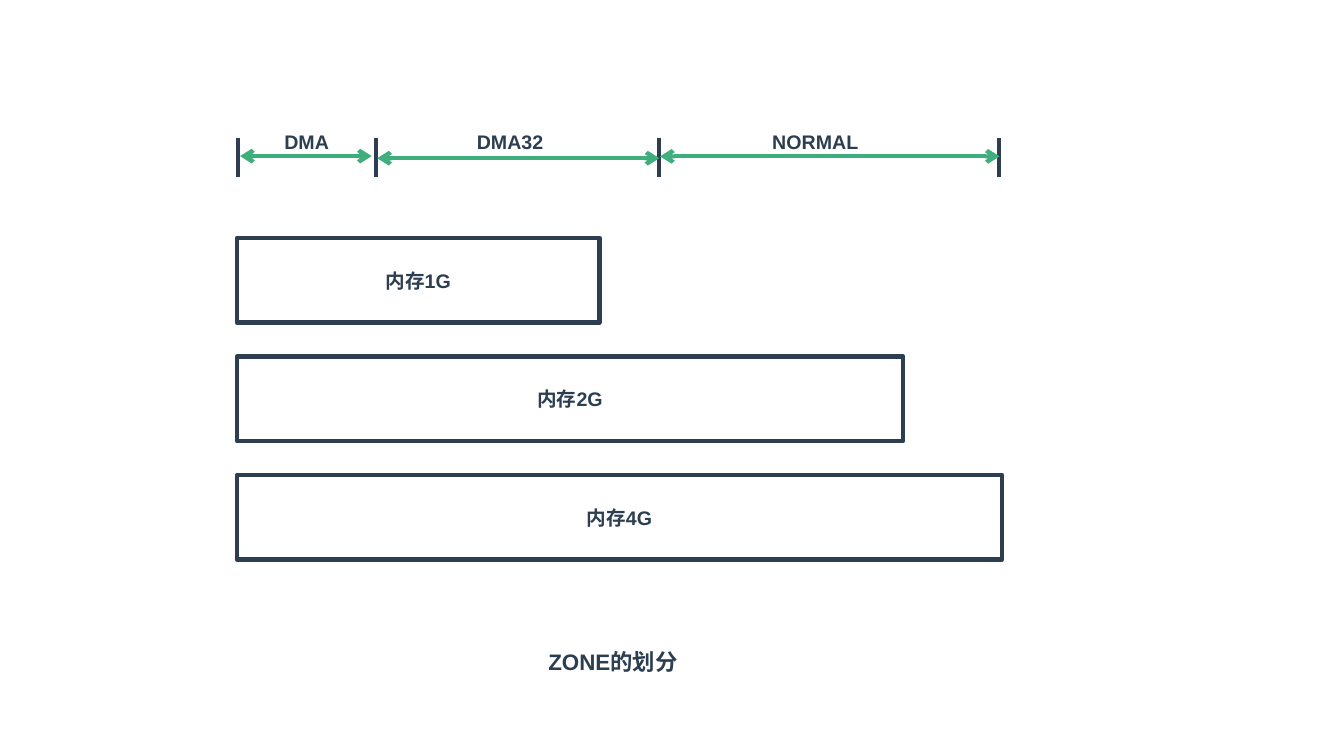
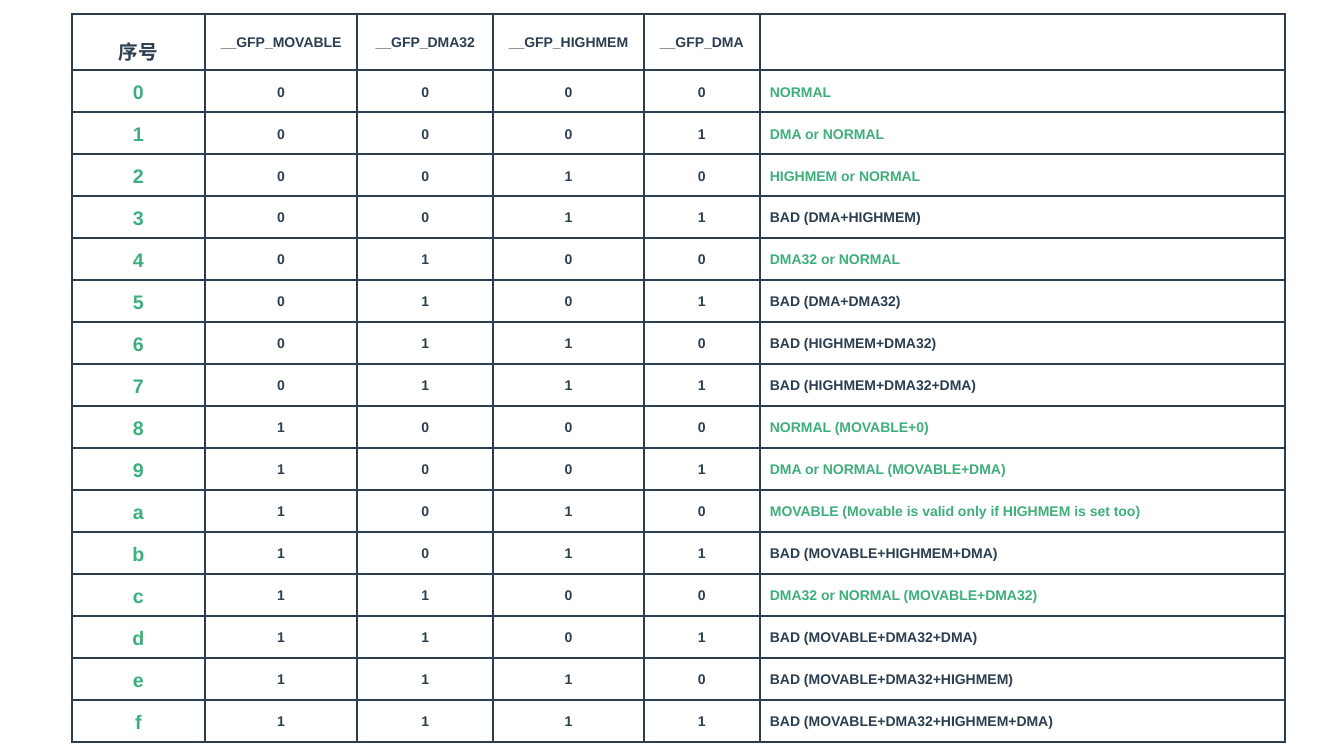
from dataclasses import dataclass

from lxml import etree
from pptx import Presentation
from pptx.dml.color import RGBColor
from pptx.enum.shapes import MSO_CONNECTOR, MSO_SHAPE
from pptx.enum.text import MSO_ANCHOR, MSO_AUTO_SIZE, PP_ALIGN
from pptx.oxml.ns import qn
from pptx.util import Pt

# Shared style
INK = "2C3E50"
GREEN = "3EAF7C"
FONT = "Arial"
LINE_WIDTH = 3
BORDER_WIDTH = 1.5


@dataclass(frozen=True)
class Zone:
    name: str
    label_left: float
    label_width: float
    arrow_left: float
    arrow_right: float
    arrow_y: float


@dataclass(frozen=True)
class MemoryBar:
    text: str
    width: float


def rgb(color: str) -> RGBColor:
    return RGBColor.from_string(color)


def write(frame, text: str, size: float, color: str = INK,
          align=PP_ALIGN.LEFT, spacing: float = 1.0) -> None:
    paragraph = frame.paragraphs[0]
    paragraph.alignment = align
    paragraph.line_spacing = spacing
    run = paragraph.add_run()
    run.text = text
    run.font.name = FONT
    run.font.size = Pt(size)
    run.font.bold = True
    run.font.color.rgb = rgb(color)


def add_line(slide, x1: float, y1: float, x2: float, y2: float,
             color: str, arrows: bool = False) -> None:
    connector = slide.shapes.add_connector(
        MSO_CONNECTOR.STRAIGHT, Pt(x1), Pt(y1), Pt(x2), Pt(y2))
    connector.line.color.rgb = rgb(color)
    connector.line.width = Pt(LINE_WIDTH)
    properties = connector.element.spPr
    if arrows:
        for end in ("a:headEnd", "a:tailEnd"):
            etree.SubElement(properties.find(qn("a:ln")), qn(end), type="arrow")
    etree.SubElement(properties, qn("a:effectLst"))


def add_zone(slide, zone: Zone) -> None:
    add_line(slide, zone.arrow_left, zone.arrow_y,
             zone.arrow_right, zone.arrow_y, GREEN, arrows=True)
    label = slide.shapes.add_textbox(
        Pt(zone.label_left), Pt(89.3), Pt(zone.label_width), Pt(24.2))
    label.text_frame.word_wrap = False
    write(label.text_frame, zone.name, 14)


def add_memory_bar(slide, bar: MemoryBar, top: float) -> None:
    box = slide.shapes.add_shape(
        MSO_SHAPE.RECTANGLE, Pt(169.2), Pt(top), Pt(bar.width), Pt(60.5))
    box.shadow.inherit = False
    box.fill.background()
    box.line.color.rgb = rgb(INK)
    box.line.width = Pt(LINE_WIDTH)
    box.text_frame.vertical_anchor = MSO_ANCHOR.MIDDLE
    write(box.text_frame, bar.text, 14, align=PP_ALIGN.CENTER)


def style_cell(cell) -> None:
    properties = cell._tc.get_or_add_tcPr()
    for side in ("a:lnL", "a:lnR", "a:lnT", "a:lnB"):
        border = etree.SubElement(
            properties, qn(side), w=str(Pt(BORDER_WIDTH)))
        fill = etree.SubElement(border, qn("a:solidFill"))
        etree.SubElement(fill, qn("a:srgbClr"), val=INK)
    cell.fill.background()


prs = Presentation()
prs.slide_width, prs.slide_height = Pt(960), Pt(540)
TITLE_ONLY, BLANK = prs.slide_layouts[5], prs.slide_layouts[6]

# Slide 1: how memory is divided into zones
TICKS = (170, 268.5, 471, 713.5)
ZONES = (
    Zone("DMA", 196, 51, 171.5, 265.5, 111.5),
    Zone("DMA32", 333.5, 70.5, 269.5, 471, 113),
    Zone("NORMAL", 544.5, 83, 471.5, 714, 111.7),
)
BARS = (
    MemoryBar("内存1G", 259),
    MemoryBar("内存2G", 476),
    MemoryBar("内存4G", 546.5),
)
BAR_TOP, BAR_STEP = 170, 84.6

zones_slide = prs.slides.add_slide(TITLE_ONLY)
title = zones_slide.shapes.title
title.left, title.top, title.width, title.height = (
    Pt(384.5), Pt(459.4), Pt(200), Pt(26.6))
title.text_frame.auto_size = MSO_AUTO_SIZE.NONE
title.text_frame.vertical_anchor = MSO_ANCHOR.TOP
write(title.text_frame, "ZONE的划分", 16)

for tick in TICKS:
    add_line(zones_slide, tick, 98.6, tick, 126.3, INK)
for zone in ZONES:
    add_zone(zones_slide, zone)
for row, bar in enumerate(BARS):
    add_memory_bar(zones_slide, bar, BAR_TOP + row * BAR_STEP)

# Slide 2: zone chosen for each combination of the four flag bits
FLAGS = ("__GFP_MOVABLE", "__GFP_DMA32", "__GFP_HIGHMEM", "__GFP_DMA")
RESULTS = (
    "NORMAL",
    "DMA or NORMAL",
    "HIGHMEM or NORMAL",
    "BAD (DMA+HIGHMEM)",
    "DMA32 or NORMAL",
    "BAD (DMA+DMA32)",
    "BAD (HIGHMEM+DMA32)",
    "BAD (HIGHMEM+DMA32+DMA)",
    "NORMAL (MOVABLE+0)",
    "DMA or NORMAL (MOVABLE+DMA)",
    "MOVABLE (Movable is valid only if HIGHMEM is set too)",
    "BAD (MOVABLE+HIGHMEM+DMA)",
    "DMA32 or NORMAL (MOVABLE+DMA32)",
    "BAD (MOVABLE+DMA32+DMA)",
    "BAD (MOVABLE+DMA32+HIGHMEM)",
    "BAD (MOVABLE+DMA32+HIGHMEM+DMA)",
)
COLUMN_WIDTHS = (95, 109, 97, 107.5, 83, 375)
HEADER_HEIGHT, ROW_HEIGHT = 40, 30

flags_slide = prs.slides.add_slide(BLANK)
table = flags_slide.shapes.add_table(
    len(RESULTS) + 1, len(COLUMN_WIDTHS), Pt(51.3), Pt(10),
    Pt(sum(COLUMN_WIDTHS)),
    Pt(HEADER_HEIGHT + ROW_HEIGHT * len(RESULTS))).table
table.first_row = table.horz_banding = False
for column, width in zip(table.columns, COLUMN_WIDTHS):
    column.width = Pt(width)
for row in table.rows:
    row.height = Pt(ROW_HEIGHT)
table.rows[0].height = Pt(HEADER_HEIGHT)
for cell in table.iter_cells():
    style_cell(cell)

write(table.cell(0, 0).text_frame, "序号", 14,
      align=PP_ALIGN.CENTER, spacing=1.6)
for column, flag in enumerate(FLAGS, 1):
    write(table.cell(0, column).text_frame, flag, 10,
          align=PP_ALIGN.CENTER, spacing=2)
for number, result in enumerate(RESULTS):
    cells = table.rows[number + 1].cells
    write(cells[0].text_frame, f"{number:x}", 14, GREEN,
          PP_ALIGN.CENTER, 1.3)
    for column, bit in enumerate(f"{number:04b}", 1):
        write(cells[column].text_frame, bit, 10,
              align=PP_ALIGN.CENTER, spacing=1.6)
    color = INK if result.startswith("BAD") else GREEN
    write(cells[5].text_frame, result, 10, color, spacing=1.6)

prs.save("out.pptx")
